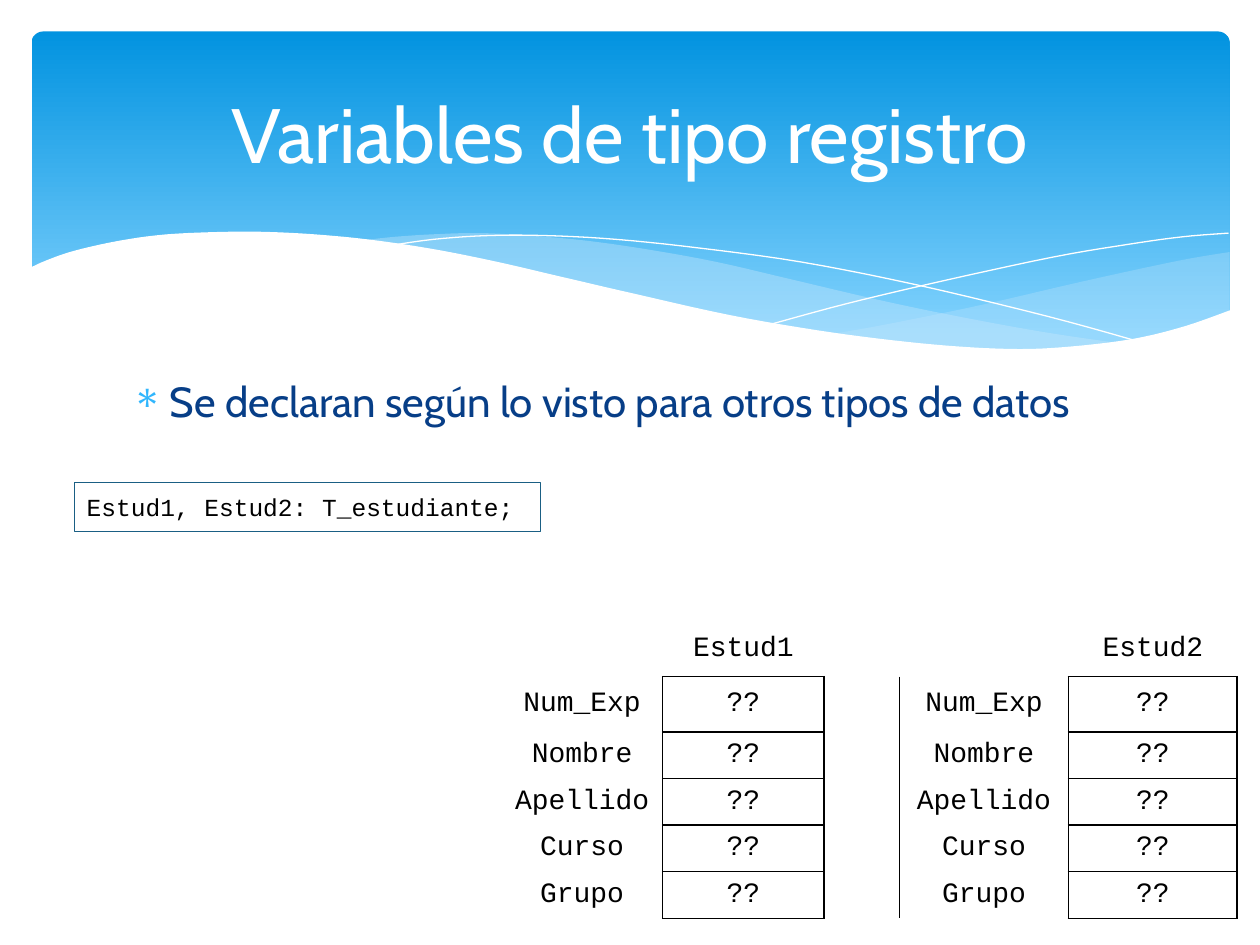
from dataclasses import dataclass
from typing import Optional

from lxml import etree
from pptx import Presentation
from pptx.dml.color import RGBColor
from pptx.enum.shapes import MSO_SHAPE
from pptx.enum.text import MSO_ANCHOR, PP_ALIGN
from pptx.oxml.ns import qn
from pptx.util import Inches, Pt

ROUNDED, RECTANGLE = MSO_SHAPE.ROUNDED_RECTANGLE, MSO_SHAPE.RECTANGLE
TOP, MIDDLE = MSO_ANCHOR.TOP, MSO_ANCHOR.MIDDLE
LEFT, CENTER, JUSTIFY = PP_ALIGN.LEFT, PP_ALIGN.CENTER, PP_ALIGN.JUSTIFY
COLORS = {
    "sky": "0293E0", "pale_sky": "83D3FE", "mist": "C6E7FC", "white": "FFFFFF",
    "black": "000000", "navy": "073E87", "bullet": "31B6FD", "frame": "1A5F84",
}
PLAIN_TABLE_STYLE = "{2D5ABB26-0587-4C30-8999-92F81FD0307C}"
FIELDS = ["Num_Exp", "Nombre", "Apellido", "Curso", "Grupo"]
VARIABLES = {1: "Estud1", 4: "Estud2"}
COLUMN_WIDTHS = [1.28, 1.28, 0.6, 1.34, 1.34]
ROW_HEIGHTS = [0.44, 0.44, 0.37, 0.37, 0.37, 0.37]
CURVE_STEPS = 5

Point = tuple[float, float]


@dataclass
class TextStyle:
    font: str
    size: float
    color: str
    align: PP_ALIGN
    anchor: MSO_ANCHOR


@dataclass
class Wave:
    edges: list[list[Point]]
    fill: Optional[str] = None
    opacity: int = 100


TITLE = TextStyle("Cabin", 44, "white", CENTER, MIDDLE)
BODY = TextStyle("Cabin", 24, "navy", LEFT, TOP)
CODE = TextStyle("Courier New", 14, "black", JUSTIFY, MIDDLE)
CELL = TextStyle("Courier New", 16, "black", CENTER, MIDDLE)

WAVES = [
    Wave([
        [(9.76, 2), (9.35, 2.07), (8.61, 2.23), (7.79, 2.42), (7.06, 2.57), (6.61, 2.65)],
        [(6.61, 2.65), (7.05, 2.71), (7.57, 2.76), (8.03, 2.78), (8.54, 2.76),
         (8.97, 2.7), (9.35, 2.62), (9.76, 2.47)],
    ], "mist", 29),
    Wave([
        [(8.93, 2.73), (8.37, 2.65), (7.75, 2.54), (7.06, 2.4), (6.29, 2.22),
         (5.69, 2.08), (5.14, 1.98), (4.65, 1.91), (4.2, 1.87), (3.8, 1.85),
         (3.44, 1.86), (3.13, 1.88), (2.86, 1.91)],
        [(2.86, 1.91), (3.42, 1.99), (4.04, 2.11), (4.49, 2.22), (5.3, 2.4),
         (6.01, 2.55), (6.65, 2.66), (7.22, 2.74), (7.73, 2.77), (8.18, 2.78),
         (8.57, 2.77), (8.93, 2.73)],
    ], "mist", 40),
    Wave([[(3.09, 1.95), (3.44, 1.9), (3.87, 1.87), (4.33, 1.87), (4.89, 1.9),
           (5.56, 1.97), (6.36, 2.08), (7.27, 2.26), (8.31, 2.51), (9.07, 2.72)]]),
    Wave([[(6.13, 2.57), (6.72, 2.41), (7.48, 2.23), (8.36, 2.04), (8.95, 1.94),
           (9.38, 1.88), (9.75, 1.85)]]),
    Wave([
        [(9.77, 2.46), (9.4, 2.59), (8.99, 2.69), (8.5, 2.75), (8.09, 2.77),
         (7.61, 2.75), (7.08, 2.7), (6.48, 2.62), (5.79, 2.5), (5.03, 2.33),
         (4.47, 2.2), (3.91, 2.07), (3.4, 1.97), (2.92, 1.9), (2.5, 1.86),
         (2.11, 1.84), (1.77, 1.84), (1.32, 1.86), (0.95, 1.91), (0.59, 1.99),
         (0.36, 2.07), (0.23, 2.13)],
        [(0.23, 3.29), (9.77, 3.29)],
    ], "white"),
]


def rgb(name: str) -> RGBColor:
    return RGBColor.from_string(COLORS[name])


def smooth(knots: list[Point]) -> list[Point]:
    padded = [knots[0], *knots, knots[-1]]
    points = [knots[0]]
    for quad in zip(padded, padded[1:], padded[2:], padded[3:]):
        for step in range(1, CURVE_STEPS + 1):
            t = step / CURVE_STEPS
            points.append(tuple(
                (2 * b + (c - a) * t + (2 * a - 5 * b + 4 * c - d) * t ** 2
                 + (3 * b - a - 3 * c + d) * t ** 3) / 2
                for a, b, c, d in zip(*quad)
            ))
    return points


def draw_wave(page, wave: Wave) -> None:
    points = [(Inches(x), Inches(y)) for edge in wave.edges for x, y in smooth(edge)]
    builder = page.shapes.build_freeform(*points[0], scale=1.0)
    builder.add_line_segments(points[1:], close=wave.fill is not None)
    shape = builder.convert_to_shape()
    shape.shadow.inherit = False
    if wave.fill is None:
        shape.fill.background()
        shape.line.color.rgb = rgb("white")
        shape.line.width = Pt(0)
        return
    shape.fill.solid()
    shape.fill.fore_color.rgb = rgb(wave.fill)
    shape.line.fill.background()
    if wave.opacity < 100:
        color = shape.fill._xPr.find(qn("a:solidFill"))[0]
        etree.SubElement(color, qn("a:alpha"), val=str(wave.opacity * 1000))


def write(target, text: str, style: TextStyle) -> None:
    frame = target.text_frame
    frame.text = text
    frame.word_wrap = True
    target_anchor = target if hasattr(target, "margin_left") else frame
    target_anchor.vertical_anchor = style.anchor
    para = frame.paragraphs[0]
    para.alignment = style.align
    for span in para.runs:
        span.font.name = style.font
        span.font.size = Pt(style.size)
        span.font.color.rgb = rgb(style.color)


def draw_text(page, area: tuple[float, ...], text: str, style: TextStyle):
    box = page.shapes.add_textbox(*map(Inches, area))
    write(box, text, style)
    return box


def add_bullet(para) -> None:
    properties = para._p.get_or_add_pPr()
    properties.set("marL", str(Inches(0.3)))
    properties.set("indent", str(-Inches(0.3)))
    color = etree.SubElement(properties, qn("a:buClr"))
    etree.SubElement(color, qn("a:srgbClr"), val=COLORS["bullet"])
    etree.SubElement(properties, qn("a:buChar"), char="∗")


def draw_borders(cell, sides: str) -> None:
    properties = cell._tc.get_or_add_tcPr()
    for side in sides:
        line = etree.SubElement(properties, qn(f"a:ln{side}"), w=str(Pt(1)))
        fill = etree.SubElement(line, qn("a:solidFill"))
        etree.SubElement(fill, qn("a:srgbClr"), val=COLORS["black"])


def cell_content(row: int, column: int) -> tuple[str, str]:
    is_value = column in VARIABLES
    if row == 0:
        return (VARIABLES[column], "B") if is_value else ("", "")
    if is_value:
        return "??", "LRTB"
    if column == 2:
        return "", "L"
    return FIELDS[row - 1], "R"


def draw_records(page) -> None:
    table = page.shapes.add_table(
        len(ROW_HEIGHTS), len(COLUMN_WIDTHS), Inches(3.98), Inches(4.93),
        Inches(sum(COLUMN_WIDTHS)), Inches(sum(ROW_HEIGHTS))).table
    table.first_row = table.horz_banding = False
    table._tbl.tblPr.find(qn("a:tableStyleId")).text = PLAIN_TABLE_STYLE
    for column, width in enumerate(COLUMN_WIDTHS):
        table.columns[column].width = Inches(width)
    for row, height in enumerate(ROW_HEIGHTS):
        table.rows[row].height = Inches(height)
        for column in range(len(COLUMN_WIDTHS)):
            cell = table.cell(row, column)
            text, sides = cell_content(row, column)
            draw_borders(cell, sides)
            cell.fill.background()
            if text:
                write(cell, text, CELL)
            else:
                cell.margin_top = cell.margin_bottom = 0


def draw_banner(page) -> None:
    banner = page.shapes.add_shape(ROUNDED, *map(Inches, (0.25, 0.25, 9.51, 2.7)))
    banner.adjustments[0] = 0.034
    banner.shadow.inherit = False
    banner.line.fill.background()
    banner.fill.gradient()
    banner.fill.gradient_angle = 270
    stops = zip(banner.fill.gradient_stops, ("sky", "pale_sky"), (0, 0.9))
    for stop, color, position in stops:
        stop.color.rgb = rgb(color)
        stop.position = position


def main() -> None:
    deck = Presentation()
    deck.slide_width, deck.slide_height = Inches(10), Inches(7.5)
    page = deck.slides.add_slide(deck.slide_layouts[6])
    draw_banner(page)
    for wave in WAVES:
        draw_wave(page, wave)
    body = draw_text(page, (0.95, 2.93, 8.1, 3.77),
                     "Se declaran según lo visto para otros tipos de datos", BODY)
    add_bullet(body.text_frame.paragraphs[0])
    draw_text(page, (0.5, 0.37, 9, 1.37), "Variables de tipo registro", TITLE)
    draw_records(page)
    declaration = page.shapes.add_shape(RECTANGLE, *map(Inches, (0.59, 3.83, 3.7, 0.39)))
    declaration.shadow.inherit = False
    declaration.fill.background()
    declaration.line.color.rgb = rgb("frame")
    declaration.line.width = Pt(0.75)
    write(declaration, "Estud1, Estud2: T_estudiante;", CODE)
    deck.save("out.pptx")


if __name__ == "__main__":
    main()
